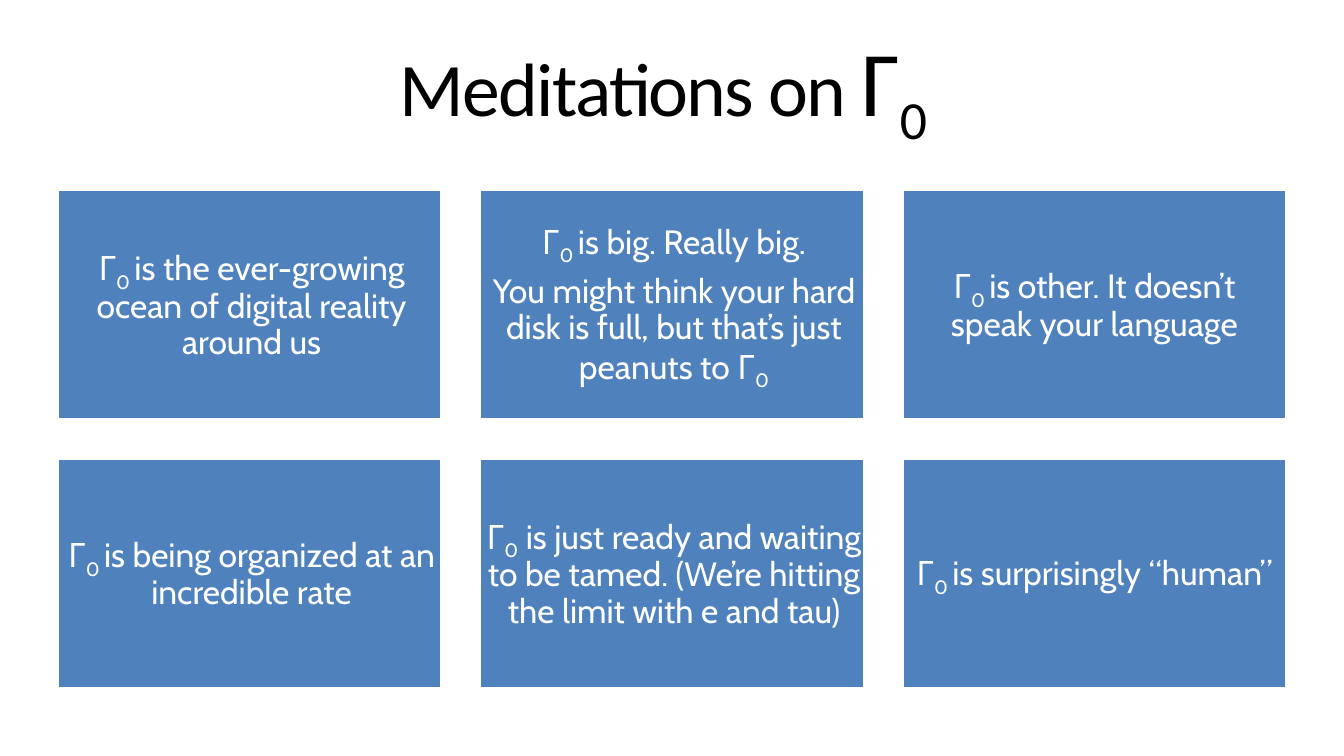
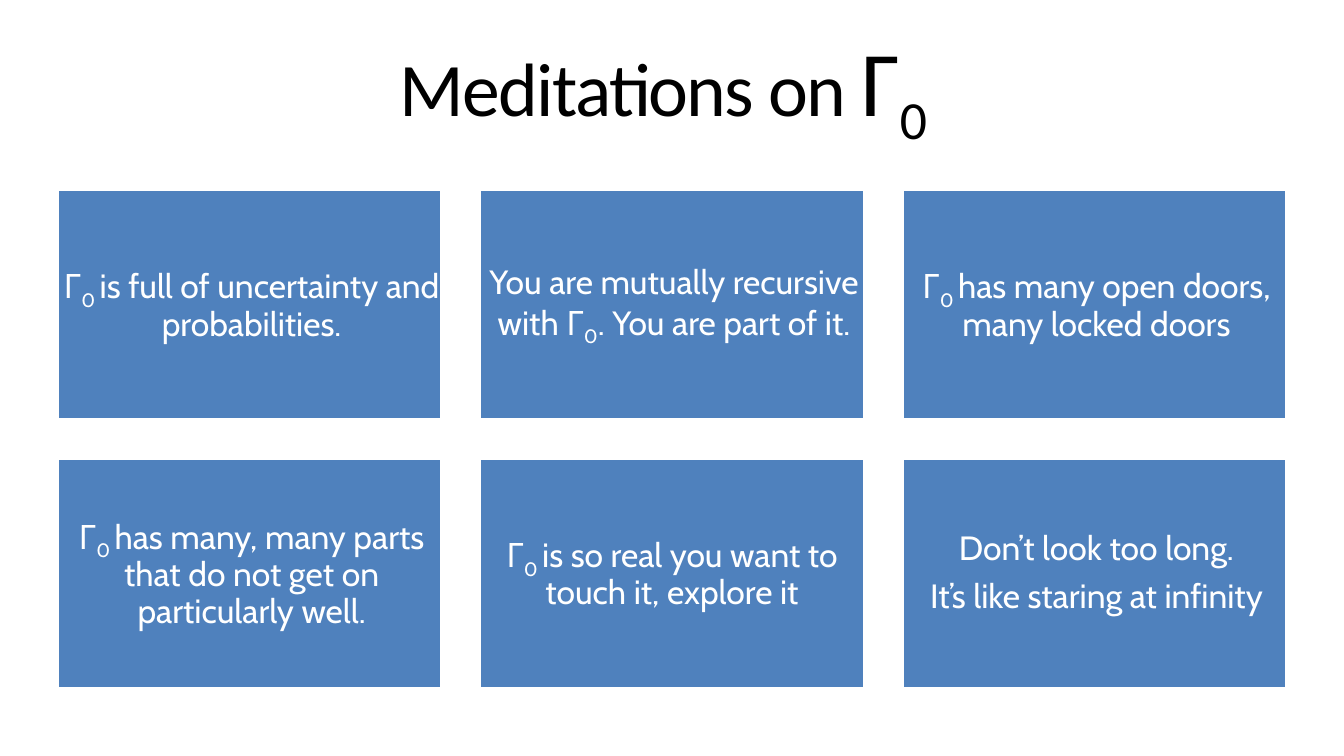
import pptx
import pptx.dml.color
import pptx.enum.shapes
import pptx.enum.text
import pptx.util

Inches = pptx.util.Inches
Pt = pptx.util.Pt
RGB = pptx.dml.color.RGBColor.from_string
CENTER = pptx.enum.text.PP_ALIGN.CENTER

COLORS = {"title": "000000", "card": "4F81BD", "paper": "FFFFFF"}
SNUG, ROOMY = (0.04, 0), (0.1, 0.1)
COLS = 3
MARGIN, TOP, GAP = 0.57, 1.88, 0.38
SPAN = 13.33 - 2 * MARGIN
CARD_W = (SPAN - (COLS - 1) * GAP) / COLS
CARD_H = CARD_W * 0.6

TITLE = "Meditations on |Γ_0_| "
SLIDES = [
    [
        (SNUG, ["Γ_0 _is the ever-growing ocean of digital reality around us"]),
        (SNUG, ["Γ_0 _is big. Really big.",
                "You might think your hard disk is full, but that’s just peanuts to Γ_0"]),
        (ROOMY, ["Γ_0 _is other. It doesn’t speak your language"]),
        (SNUG, ["Γ_0 _is being organized at an incredible rate"]),
        (SNUG, ["Γ_0_ is just ready and waiting to be tamed. "
                "(We’re hitting the limit with e and tau)"]),
        (ROOMY, ["Γ_0 _is surprisingly “human”"]),
    ],
    [
        (SNUG, ["Γ_0 _is full of uncertainty and probabilities."]),
        (SNUG, ["You are mutually recursive with Γ_0_. You are part of it."]),
        (SNUG, ["Γ_0 _has many open doors, many locked doors"]),
        (SNUG, ["Γ_0 _has many, many parts that do not get on particularly well."]),
        (ROOMY, ["Γ_0 _is so real you want to touch it, explore it"]),
        (SNUG, ["Don’t look too long.", "It’s like staring at infinity"]),
    ],
]


def add_runs(p, text):
    runs = []
    for i, part in enumerate(text.split("_")):
        if part:
            r = p.add_run()
            r.text = part
            if i % 2:
                r._r.get_or_add_rPr().set("baseline", "-25000")
            runs.append(r)
    return runs


def style(p, font, size, color):
    p.alignment = CENTER
    p.line_spacing = 0.9
    p.font.name = font
    p.font.size = Pt(size)
    p.font.color.rgb = RGB(color)


prs = pptx.Presentation()
prs.slide_width, prs.slide_height = Inches(13.33), Inches(7.5)

for cards in SLIDES:
    s = prs.slides.add_slide(prs.slide_layouts[5])

    title = s.shapes.title
    title.left, title.top = Inches(MARGIN), Inches(0.25)
    title.width, title.height = Inches(SPAN), Inches(1)
    tf = title.text_frame
    tf.margin_left = tf.margin_right = tf.margin_top = tf.margin_bottom = 0
    tf.vertical_anchor = pptx.enum.text.MSO_ANCHOR.TOP
    tf.auto_size = pptx.enum.text.MSO_AUTO_SIZE.SHAPE_TO_FIT_TEXT
    p = tf.paragraphs[0]
    style(p, "Calibri", 54, COLORS["title"])
    for i, part in enumerate(TITLE.split("|")):
        for r in add_runs(p, part):
            r._r.get_or_add_rPr().set("spc", "-120")
            if i == 1:
                r.font.size = Pt(66)

    for i, (insets, lines) in enumerate(cards):
        row, col = divmod(i, COLS)
        sp = s.shapes.add_shape(
            pptx.enum.shapes.MSO_SHAPE.RECTANGLE,
            Inches(MARGIN + col * (CARD_W + GAP)),
            Inches(TOP + row * (CARD_H + GAP)),
            Inches(CARD_W), Inches(CARD_H))
        sp.shadow.inherit = False
        sp.fill.solid()
        sp.fill.fore_color.rgb = RGB(COLORS["card"])
        sp.line.color.rgb = RGB(COLORS["paper"])
        sp.line.width = Pt(2)
        tf = sp.text_frame
        tf.word_wrap = True
        tf.vertical_anchor = pptx.enum.text.MSO_ANCHOR.MIDDLE
        tf.margin_left, tf.margin_right = (Inches(inset) for inset in insets)
        tf.margin_top = tf.margin_bottom = Inches(0.1)
        for n, line in enumerate(lines):
            p = tf.add_paragraph() if n else tf.paragraphs[0]
            style(p, "Cabin", 24, COLORS["paper"])
            p.space_after = Pt(8)
            add_runs(p, line)

prs.save("out.pptx")
